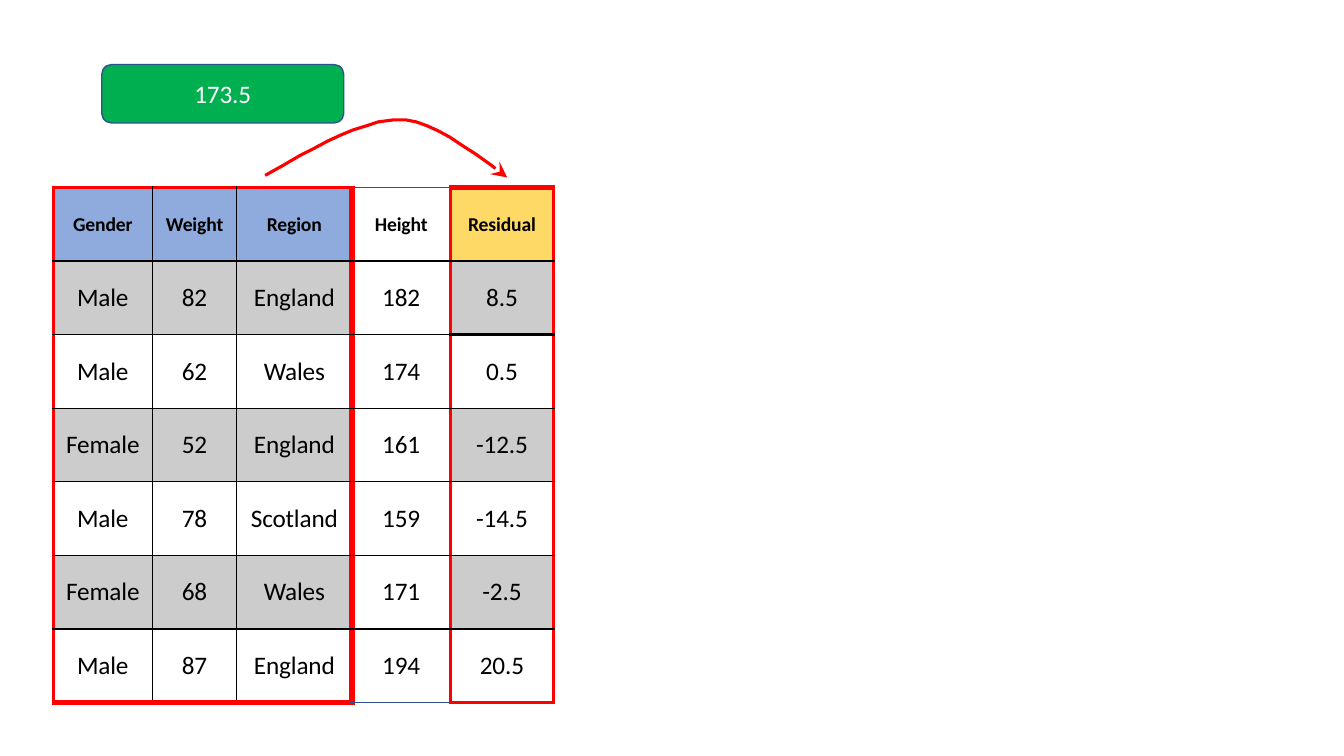
"""Builds a slide showing how residuals are found from an average height."""
from dataclasses import dataclass
from typing import Any, Optional

from lxml.etree import SubElement
from pptx import Presentation
from pptx.dml.color import RGBColor
from pptx.enum.shapes import MSO_SHAPE as Shape
from pptx.enum.text import MSO_ANCHOR as Anchor, PP_ALIGN as Align
from pptx.oxml.ns import qn
from pptx.util import Emu, Pt

PX = 9144
FONT = "Calibri"
WHITE = RGBColor(0xFF, 0xFF, 0xFF)
BLACK = RGBColor(0x00, 0x00, 0x00)
RED = RGBColor(0xFF, 0x00, 0x00)
GREEN = RGBColor(0x00, 0xAF, 0x50)
NAVY = RGBColor(0x2E, 0x52, 0x8F)
BLUE = RGBColor(0x8F, 0xAA, 0xDC)
YELLOW = RGBColor(0xFF, 0xD9, 0x66)


@dataclass(frozen=True)
class Border:
    color: RGBColor
    points: float


@dataclass(frozen=True)
class Paint:
    color: RGBColor
    opacity: int = 100


@dataclass(frozen=True)
class Column:
    title: str
    width: int
    header: Paint
    band: Paint
    top: Border
    bottom: Border
    values: tuple[str, ...]


THIN = Border(BLACK, 1)
THICK = Border(BLACK, 2.25)
RED_THIN = Border(RED, 3)
RED_THICK = Border(RED, 4.5)
NAVY_THIN = Border(NAVY, 1)
GREY = Paint(BLACK, 20)
VEIL = Paint(WHITE, 78)

COLUMNS = [
    Column("Gender", 98, Paint(BLUE), GREY, RED_THIN, RED_THICK,
           ("Male", "Male", "Female", "Male", "Female", "Male")),
    Column("Weight", 84, Paint(BLUE), GREY, RED_THIN, RED_THICK,
           ("82", "62", "52", "78", "68", "87")),
    Column("Region", 114, Paint(BLUE), GREY, RED_THIN, RED_THICK,
           ("England", "Wales", "England", "Scotland", "Wales", "England")),
    Column("Height", 98, VEIL, VEIL, NAVY_THIN, NAVY_THIN,
           ("182", "174", "161", "159", "171", "194")),
    Column("Residual", 102, Paint(YELLOW), GREY, RED_THICK, RED_THIN,
           ("8.5", "0.5", "-12.5", "-14.5", "-2.5", "20.5")),
]
VERTICAL_EDGES = [RED_THIN, THIN, THIN, RED_THICK, RED_THIN, RED_THIN]
ROW_COUNT = 7
ROW_HEIGHT = 73
ARROW_CURVE = [
    (263, 174), (281, 164), (298, 154), (312, 147), (325, 140), (338, 134),
    (350, 129), (363, 125), (375, 121), (390, 119), (403, 119), (413, 121),
    (424, 125), (435, 130), (446, 136), (458, 144), (472, 153), (486, 163),
    (503, 176),
]


def px(length: int) -> Emu:
    """Turn px into EMU."""
    return Emu(length * PX)


def apply_paint(fill: Any, properties: Any, paint: Optional[Paint]) -> None:
    """Fill a shape or cell, with its opacity."""
    if paint is None:
        fill.background()
        return
    fill.solid()
    fill.fore_color.rgb = paint.color
    if paint.opacity < 100:
        color = properties.find(f"{qn('a:solidFill')}/{qn('a:srgbClr')}")
        SubElement(color, qn("a:alpha"), val=str(paint.opacity * 1000))


def write(text_frame: Any, text: str, size: int, color: RGBColor, bold: bool = False) -> None:
    """Put one centred line of text into a frame."""
    text_frame.text = text
    paragraph = text_frame.paragraphs[0]
    paragraph.alignment = Align.CENTER
    run = paragraph.runs[0]
    run.font.name = FONT
    run.font.size = Pt(size)
    run.font.bold = bold
    run.font.color.rgb = color
    run.font._element.set("spc", "-10")


def add_box(slide: Any, kind: Shape, left: int, top: int, width: int, height: int,
            paint: Paint) -> Any:
    """Add a filled shape without line or shadow."""
    shape = slide.shapes.add_shape(kind, px(left), px(top), px(width), px(height))
    shape.shadow.inherit = False
    apply_paint(shape.fill, shape._element.spPr, paint)
    shape.line.fill.background()
    return shape


def add_average(slide: Any) -> None:
    """Add the green box with the average height."""
    shape = add_box(slide, Shape.ROUNDED_RECTANGLE, 101, 64, 240, 58, Paint(GREEN))
    shape.line.color.rgb = NAVY
    shape.line.width = Pt(1)
    shape.text_frame.vertical_anchor = Anchor.MIDDLE
    write(shape.text_frame, "173.5", 18, WHITE)


def horizontal_edge(row: int, column: Column) -> Border:
    """Choose the border above a row of a column."""
    if row == 0:
        return column.top
    if row == ROW_COUNT:
        return column.bottom
    if row == 1 or (row == 2 and column.title == "Residual"):
        return THICK
    return THIN


def set_border(properties: Any, tag: str, border: Border) -> None:
    """Draw one side of a cell."""
    line = SubElement(properties, qn(tag), w=str(Pt(border.points)))
    fill = SubElement(line, qn("a:solidFill"))
    SubElement(fill, qn("a:srgbClr"), val=str(border.color))


def fill_cell(cell: Any, row: int, index: int) -> None:
    """Write and style one table cell."""
    column = COLUMNS[index]
    is_header = row == 0
    cell.margin_left = cell.margin_right = cell.margin_top = cell.margin_bottom = 0
    cell.vertical_anchor = Anchor.MIDDLE
    text = column.title if is_header else column.values[row - 1]
    write(cell.text_frame, text, 14 if is_header else 18, BLACK, is_header)
    properties = cell._tc.get_or_add_tcPr()
    set_border(properties, "a:lnL", VERTICAL_EDGES[index])
    set_border(properties, "a:lnR", VERTICAL_EDGES[index + 1])
    set_border(properties, "a:lnT", horizontal_edge(row, column))
    set_border(properties, "a:lnB", horizontal_edge(row + 1, column))
    band = column.band if row % 2 else None
    apply_paint(cell.fill, properties, column.header if is_header else band)


def add_data_table(slide: Any) -> None:
    """Add the table of people and residuals."""
    width = sum(column.width for column in COLUMNS)
    table = slide.shapes.add_table(ROW_COUNT, len(COLUMNS), px(53), px(186), px(width),
                                   px(ROW_COUNT * ROW_HEIGHT)).table
    table.first_row = table.horz_banding = False
    for index, column in enumerate(COLUMNS):
        table.columns[index].width = px(column.width)
    for row in range(ROW_COUNT):
        table.rows[row].height = px(ROW_HEIGHT)
        for index in range(len(COLUMNS)):
            fill_cell(table.cell(row, index), row, index)


def add_curved_arrow(slide: Any) -> None:
    """Add the red arrow from the features to the residual."""
    builder = slide.shapes.build_freeform(*ARROW_CURVE[0], scale=PX)
    builder.add_line_segments(ARROW_CURVE[1:], close=False)
    arrow = builder.convert_to_shape()
    arrow.shadow.inherit = False
    arrow.fill.background()
    arrow.line.color.rgb = RED
    arrow.line.width = Pt(2.25)
    line = arrow._element.spPr.find(qn("a:ln"))
    SubElement(line, qn("a:tailEnd"), type="stealth", w="lg", len="lg")


def main() -> None:
    """Build and save the presentation."""
    presentation = Presentation()
    presentation.slide_width = px(1333)
    presentation.slide_height = px(750)
    slide = presentation.slides.add_slide(presentation.slide_layouts[6])
    add_average(slide)
    add_box(slide, Shape.RECTANGLE, 353, 189, 93, 509, VEIL)
    add_data_table(slide)
    add_curved_arrow(slide)
    presentation.save("out.pptx")


if __name__ == "__main__":
    main()
